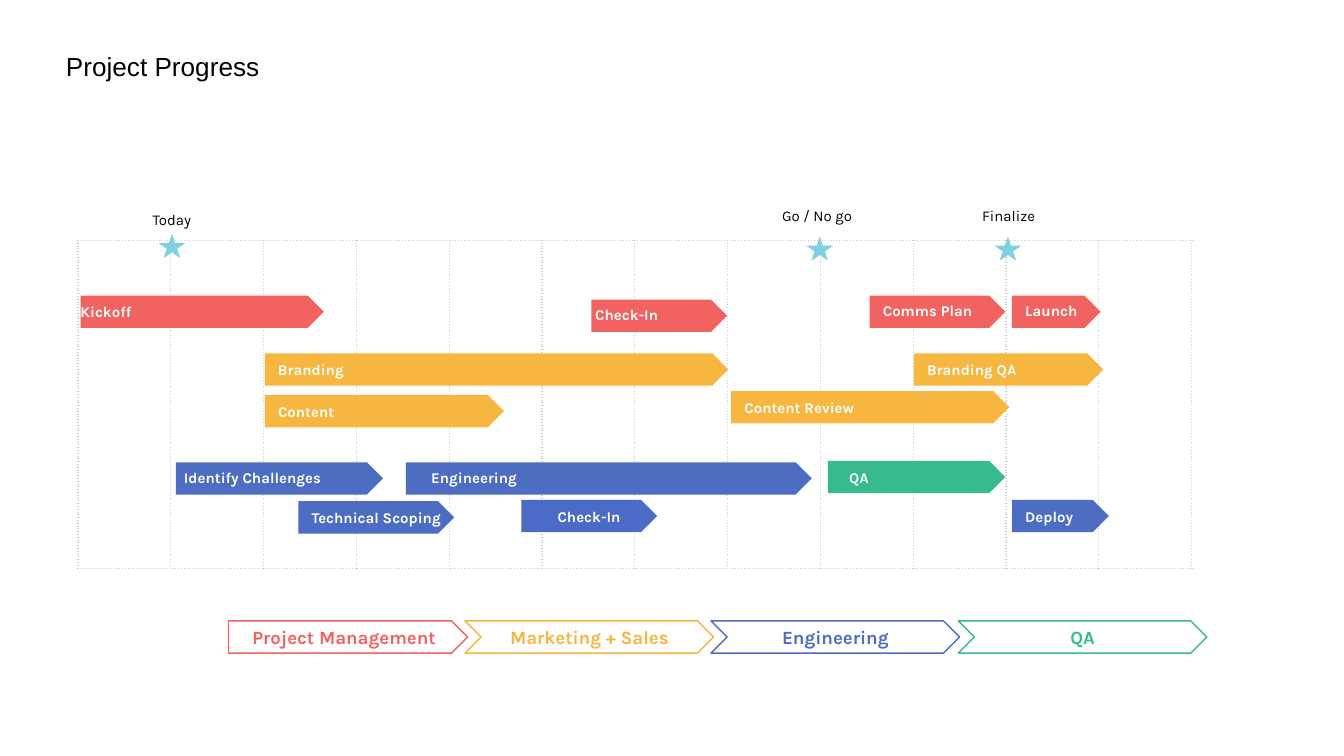
"""Build a project progress slide with a dotted timeline grid and phase arrows."""
import pptx
import pptx.dml.color
import pptx.enum.shapes
import pptx.enum.text
import pptx.oxml
import pptx.oxml.ns
import pptx.util

Inches = pptx.util.Inches
Pt = pptx.util.Pt
RGBColor = pptx.dml.color.RGBColor
SHAPE = pptx.enum.shapes.MSO_SHAPE
ALIGN = pptx.enum.text.PP_ALIGN

BLACK = RGBColor(0x00, 0x00, 0x00)
WHITE = RGBColor(0xFF, 0xFF, 0xFF)
RED = RGBColor(0xF1, 0x63, 0x60)
YELLOW = RGBColor(0xF6, 0xB6, 0x3F)
BLUE = RGBColor(0x4D, 0x6D, 0xC3)
CHECK_BLUE = RGBColor(0x4B, 0x6B, 0xC6)
GREEN = RGBColor(0x38, 0xBA, 0x91)
CYAN = RGBColor(0x7F, 0xD1, 0xE0)
GRID_GRAY = RGBColor(0xCC, 0xCC, 0xCC)

SLIDE_WIDTH = 10
SLIDE_HEIGHT = SLIDE_WIDTH * 9 / 16
BAR_HEIGHT = 0.24
GRID_WIDTH = 8.29
COLUMN_COUNT = 12
WHITE_COLUMNS = range(2, 8)

MILESTONES = [
    ("Today", (1.18, 1.74), (0.95, 1.54, 0.66)),
    ("Go / No go", (6, 1.76), (5.69, 1.51, 0.78)),
    ("Finalize", (7.4, 1.76), (6.85, 1.51, 1.31)),
]

TASKS = [
    ("Branding", YELLOW, (1.97, 2.63, 3.45), (1.97, 2.63, 3.13)),
    ("Kickoff", RED, (0.6, 2.2, 1.81), (0.5, 2.2, 1.46)),
    ("Content", YELLOW, (1.97, 2.94, 1.78), None),
    ("Deploy", BLUE, (7.53, 3.72, 0.72), None),
    ("QA", GREEN, (6.16, 3.43, 1.32), (6.22, 3.43, 1.25)),
    ("Identify Challenges", BLUE, (1.31, 3.44, 1.54), (1.27, 3.43, 1.4)),
    ("Engineering", BLUE, (3.02, 3.44, 3.02), (3.11, 3.43, 2.74)),
    ("Content Review", YELLOW, (5.44, 2.91, 2.07), None),
    ("Technical Scoping", BLUE, (2.22, 3.73, 1.16), (2.22, 3.73, 1.41)),
    ("Comms Plan", RED, (6.47, 2.2, 1.01), (6.47, 2.19, 1.11)),
    ("Launch", RED, (7.53, 2.2, 0.66), (7.53, 2.19, 1.68)),
    ("Check-In", RED, (4.4, 2.23, 1.01), (4.33, 2.22, 1.11)),
    ("Check-In", CHECK_BLUE, (3.88, 3.72, 1.01), (4.05, 3.72, 0.72)),
    ("Branding QA", YELLOW, (6.8, 2.63, 1.41), None),
]

PHASES = [
    ("Project Management", RED, SHAPE.PENTAGON, 1.7, 1.78),
    ("Marketing + Sales", YELLOW, SHAPE.CHEVRON, 3.46, 1.85),
    ("Engineering", BLUE, SHAPE.CHEVRON, 5.29, 1.85),
    ("QA", GREEN, SHAPE.CHEVRON, 7.13, 1.85),
]


def write_text(shape, text, size, color, font="Karla", bold=False, align=ALIGN.LEFT):
    """Put one formatted line of text into a shape."""
    frame = shape.text_frame
    frame.text = text
    frame.word_wrap = True
    frame.vertical_anchor = pptx.enum.text.MSO_ANCHOR.MIDDLE
    frame.margin_left = frame.margin_right = Inches(0.1)
    frame.margin_top = frame.margin_bottom = Inches(0.1)
    paragraph = frame.paragraphs[0]
    paragraph.alignment = align
    run_font = paragraph.runs[0].font
    run_font.name = font
    run_font.size = Pt(size)
    run_font.bold = bold
    run_font.color.rgb = color


def add_title(slide, text):
    """Place and fill the title placeholder."""
    title = slide.shapes.title
    title.left, title.top = Inches(0.39), Inches(0.3)
    title.width, title.height = Inches(4.86), Inches(0.38)
    write_text(title, text, 14, BLACK, font="Arial")


def add_dotted_borders(cell):
    """Give a table cell a dotted gray border on every side."""
    properties = cell._tc.get_or_add_tcPr()
    for index, side in enumerate(("lnL", "lnR", "lnT", "lnB")):
        border = pptx.oxml.parse_xml(
            f'<a:{side} {pptx.oxml.ns.nsdecls("a")} w="{Pt(0.75)}">'
            f'<a:solidFill><a:srgbClr val="{GRID_GRAY}"/></a:solidFill>'
            f'<a:prstDash val="dot"/></a:{side}>'
        )
        properties.insert(index, border)


def add_grid(slide):
    """Draw the timeline grid as a one-row table."""
    table = slide.shapes.add_table(
        1, COLUMN_COUNT, Inches(0.58), Inches(1.79), Inches(GRID_WIDTH), Inches(2.44)
    ).table
    table.first_row = False
    table.horz_banding = False
    for index, column in enumerate(table.columns):
        column.width = Inches(GRID_WIDTH / COLUMN_COUNT)
        cell = table.cell(0, index)
        if index in WHITE_COLUMNS:
            cell.fill.solid()
            cell.fill.fore_color.rgb = WHITE
        else:
            cell.fill.background()
        add_dotted_borders(cell)


def add_filled_shape(slide, kind, left, top, width, height, color):
    """Add a preset shape with a solid fill and no outline."""
    shape = slide.shapes.add_shape(
        kind, Inches(left), Inches(top), Inches(width), Inches(height)
    )
    shape.shadow.inherit = False
    shape.fill.solid()
    shape.fill.fore_color.rgb = color
    shape.line.fill.background()
    return shape


def add_label(slide, left, top, width, height):
    """Add an empty text box for a label."""
    return slide.shapes.add_textbox(
        Inches(left), Inches(top), Inches(width), Inches(height)
    )


def add_milestone(slide, text, star_position, label_place):
    """Add a star with a centred caption above it."""
    add_filled_shape(slide, SHAPE.STAR_5_POINT, *star_position, 0.2, 0.18, CYAN)
    label = add_label(slide, *label_place, 0.18)
    write_text(label, text, 8, BLACK, align=ALIGN.CENTER)


def add_task(slide, text, color, bar_place, label_place):
    """Add a task arrow, with its label inside it or in a box over it."""
    target = add_filled_shape(slide, SHAPE.PENTAGON, *bar_place, BAR_HEIGHT, color)
    if label_place:
        target = add_label(slide, *label_place, BAR_HEIGHT)
    write_text(target, text, 8, WHITE, bold=True)


def add_phase(slide, text, color, kind, left, width):
    """Add an outlined legend arrow."""
    shape = add_filled_shape(slide, kind, left, 4.62, width, BAR_HEIGHT, color)
    shape.fill.background()
    shape.line.color.rgb = color
    shape.line.width = Pt(0.75)
    write_text(shape, text, 10, color, bold=True, align=ALIGN.CENTER)


def main():
    """Build and save the presentation."""
    presentation = pptx.Presentation()
    presentation.slide_width = Inches(SLIDE_WIDTH)
    presentation.slide_height = Inches(SLIDE_HEIGHT)
    slide = presentation.slides.add_slide(presentation.slide_layouts[5])
    add_title(slide, "Project Progress")
    add_grid(slide)
    for milestone in MILESTONES:
        add_milestone(slide, *milestone)
    for task in TASKS:
        add_task(slide, *task)
    for phase in PHASES:
        add_phase(slide, *phase)
    presentation.save("out.pptx")


if __name__ == "__main__":
    main()
